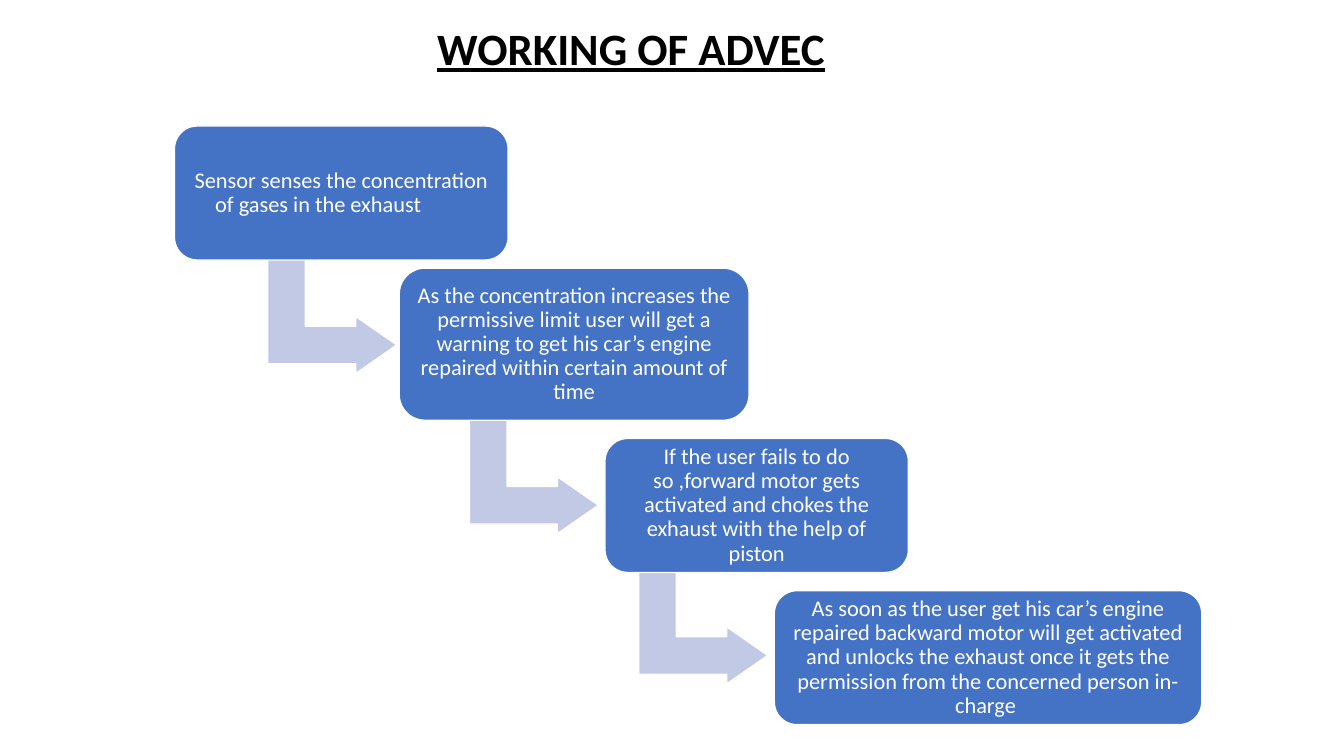
from pptx import Presentation
from pptx import util as u
from pptx.dml.color import RGBColor
from pptx.enum import shapes, text

COLOURS = {"box": "4472C4", "arrow": "C1C9E4", "white": "FFFFFF", "black": "000000"}
ARROW_SIZE = (1.13, 1.28)

# Each step: left, top, width, height, wording
STEPS = [
    (1.73, 1.25, 3.31, 1.33, "Sensor senses the concentration of gases in the exhaust \t"),
    (3.96, 2.66, 3.47, 1.51,
     "As the concentration increases the permissive limit user will get a warning "
     "to get his car’s engine repaired within certain amount of time"),
    (6, 4.35, 3.01, 1.33,
     "If the user fails to do so ,forward motor gets activated and chokes "
     "the exhaust with the help of piston"),
    (7.68, 5.86, 4.24, 1.33,
     "As soon as the user get his car’s engine repaired backward motor will get "
     "activated and unlocks the exhaust once it gets the permission from the "
     "concerned person in-charge "),
]
# Left and top of the arrow leaving each step, before its quarter turn
ARROWS = [(2.73, 2.5), (4.73, 4.09), (6.41, 5.58)]


def write_text(frame, wording, size, colour, bold=False, underline=False, spacing=1.0):
    frame.word_wrap = True
    frame.auto_size = text.MSO_AUTO_SIZE.NONE
    frame.vertical_anchor = text.MSO_ANCHOR.MIDDLE
    paragraph = frame.paragraphs[0]
    paragraph.alignment = text.PP_ALIGN.CENTER
    paragraph.line_spacing = spacing
    run = paragraph.add_run()
    run.text = wording
    run.font.name = "Calibri"
    run.font.size = u.Pt(size)
    run.font.bold = bold
    run.font.underline = underline
    run.font.color.rgb = RGBColor.from_string(COLOURS[colour])


class StepDiagram:
    def __init__(self, slide):
        self.slide = slide

    def add_title(self, wording, left, top, width, height):
        title = self.slide.shapes.title
        title.left, title.top = u.Inches(left), u.Inches(top)
        title.width, title.height = u.Inches(width), u.Inches(height)
        write_text(title.text_frame, wording, 32, "black", bold=True, underline=True)

    def add_block(self, kind, left, top, width, height, fill, adjustments):
        shape = self.slide.shapes.add_shape(
            kind, u.Inches(left), u.Inches(top), u.Inches(width), u.Inches(height))
        shape.shadow.inherit = False
        shape.fill.solid()
        shape.fill.fore_color.rgb = RGBColor.from_string(COLOURS[fill])
        shape.line.color.rgb = RGBColor.from_string(COLOURS["white"])
        shape.line.width = u.Pt(1)
        for index, value in enumerate(adjustments):
            shape.adjustments[index] = value
        return shape

    def add_arrow(self, left, top):
        arrow = self.add_block(shapes.MSO_SHAPE.BENT_UP_ARROW, left, top, *ARROW_SIZE,
                               "arrow", (0.33, 0.25, 0.36))
        arrow.rotation = 90

    def add_step(self, left, top, width, height, wording):
        box = self.add_block(shapes.MSO_SHAPE.ROUNDED_RECTANGLE, left, top, width, height,
                             "box", (0.17,))
        frame = box.text_frame
        frame.margin_left = frame.margin_right = u.Inches(0.07)
        frame.margin_top = frame.margin_bottom = u.Inches(0.07)
        write_text(frame, wording, 16, "white", spacing=0.9)


def main():
    presentation = Presentation()
    presentation.slide_width = u.Inches(13.33)
    presentation.slide_height = u.Inches(7.5)
    diagram = StepDiagram(presentation.slides.add_slide(presentation.slide_layouts[5]))
    diagram.add_title("WORKING OF ADVEC", 3.51, 0.15, 5.5, 0.64)
    for arrow in ARROWS:
        diagram.add_arrow(*arrow)
    for step in STEPS:
        diagram.add_step(*step)
    presentation.save("out.pptx")


if __name__ == "__main__":
    main()
